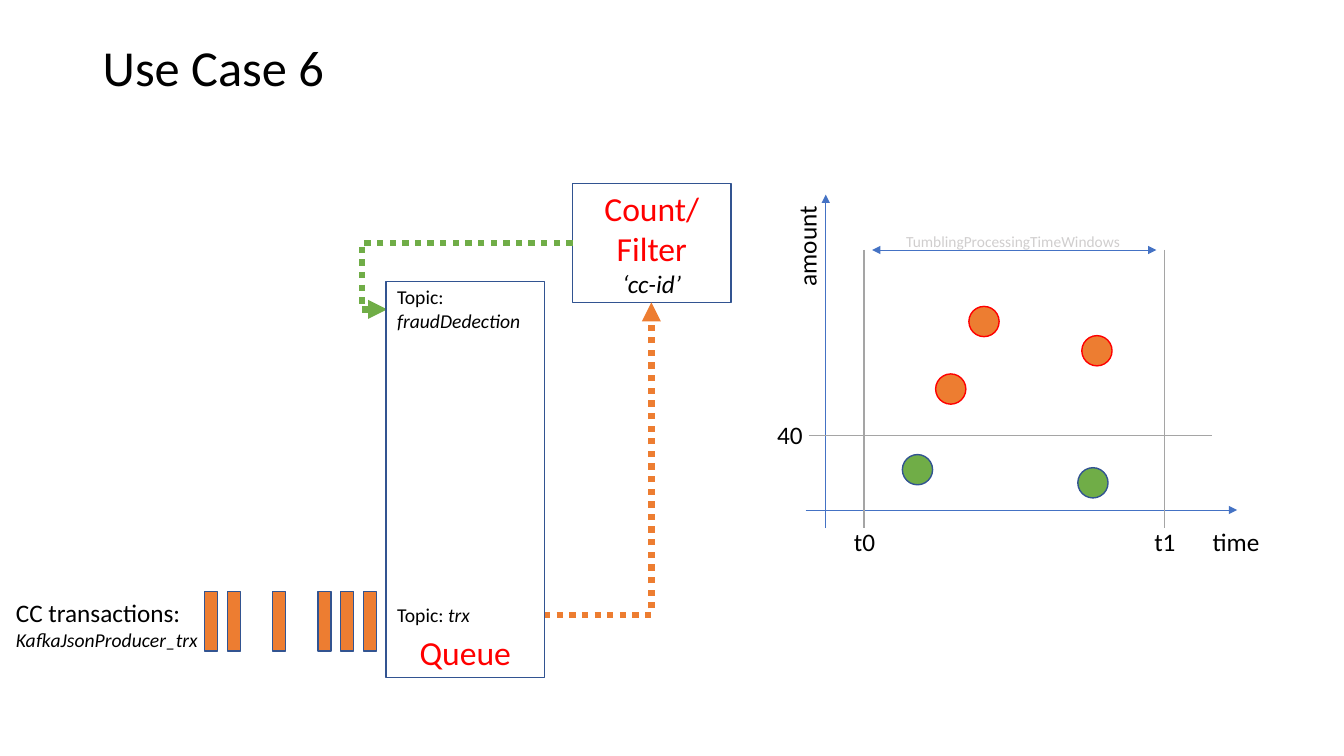
from dataclasses import dataclass

from lxml import etree
from pptx import Presentation
from pptx.dml.color import RGBColor
from pptx.enum.dml import MSO_LINE
from pptx.enum.shapes import MSO_CONNECTOR, MSO_SHAPE
from pptx.enum.text import MSO_ANCHOR, MSO_AUTO_SIZE, PP_ALIGN
from pptx.oxml.ns import qn
from pptx.util import Inches, Pt

RECT, OVAL = MSO_SHAPE.RECTANGLE, MSO_SHAPE.OVAL
STRAIGHT, ELBOW = MSO_CONNECTOR.STRAIGHT, MSO_CONNECTOR.ELBOW
DOTTED = MSO_LINE.ROUND_DOT
LEFT, CENTER = PP_ALIGN.LEFT, PP_ALIGN.CENTER
TOP, MIDDLE, BOTTOM = MSO_ANCHOR.TOP, MSO_ANCHOR.MIDDLE, MSO_ANCHOR.BOTTOM


@dataclass(frozen=True)
class Theme:
    font: str = "Calibri"
    black: str = "000000"
    white: str = "FFFFFF"
    red: str = "FF0000"
    orange: str = "ED7D31"
    green: str = "70AD47"
    blue: str = "4472C4"
    navy: str = "325491"
    gray: str = "A5A5A5"
    pale: str = "D0CECE"
    title: int = 36
    heading: int = 24
    body: int = 18
    small: int = 14
    tiny: int = 11
    thin: float = 0.5
    outline: float = 1
    flow: float = 4.5


T = Theme()


def rgb(color):
    return RGBColor.from_string(color)


def add_text(p, text, size=T.body, color=T.black, italic=False):
    """Append formatted text to a paragraph; a newline becomes a line break."""
    for i, line in enumerate(text.split("\n")):
        if i:
            p.add_line_break()
        r = p.add_run()
        r.text = line
        r.font.name = T.font
        r.font.size = Pt(size)
        r.font.italic = italic
        r.font.color.rgb = rgb(color)


def fill_frame(tf, paragraphs, align=LEFT, anchor=TOP):
    """Write paragraphs, each a list of (text, format) pairs."""
    tf.vertical_anchor = anchor
    for i, runs in enumerate(paragraphs):
        p = tf.add_paragraph() if i else tf.paragraphs[0]
        p.alignment = align
        for text, fmt in runs:
            add_text(p, text, **fmt)


def add_label(slide, left, top, width, height, *paragraphs, anchor=TOP, vert=None):
    sp = slide.shapes.add_textbox(
        Inches(left), Inches(top), Inches(width), Inches(height))
    tf = sp.text_frame
    tf.word_wrap = False
    tf.auto_size = MSO_AUTO_SIZE.NONE
    fill_frame(tf, paragraphs, anchor=anchor)
    if vert:
        tf._txBody.bodyPr.set("vert", vert)
    return sp


def add_figure(slide, kind, left, top, width, height, fill, line=T.navy):
    sp = slide.shapes.add_shape(
        kind, Inches(left), Inches(top), Inches(width), Inches(height))
    sp.shadow.inherit = False
    sp.fill.solid()
    sp.fill.fore_color.rgb = rgb(fill)
    sp.line.color.rgb = rgb(line)
    sp.line.width = Pt(T.outline)
    return sp


def add_line(slide, start, end, color, width, kind=STRAIGHT, dash=None,
             head=False, tail=False):
    c = slide.shapes.add_connector(kind, *(Inches(v) for v in (*start, *end)))
    c.line.color.rgb = rgb(color)
    c.line.width = Pt(width)
    if dash:
        c.line.dash_style = dash
    ln = c.line._get_or_add_ln()
    for tag, wanted in (("a:headEnd", head), ("a:tailEnd", tail)):
        if wanted:
            etree.SubElement(ln, qn(tag), type="triangle")
    etree.SubElement(c._element.spPr, qn("a:effectLst"))
    return c


def add_flow(slide, start, end, color, preset, bend=None):
    """Dotted elbow arrow; bend is where the middle segment sits, as a share of the width."""
    c = add_line(slide, start, end, color, T.flow, kind=ELBOW, dash=DOTTED, tail=True)
    geom = c._element.spPr.find(qn("a:prstGeom"))
    geom.set("prst", preset)
    if bend:
        etree.SubElement(geom.find(qn("a:avLst")), qn("a:gd"),
                         name="adj1", fmla=f"val {round(bend * 100000)}")


def draw_pipeline(slide):
    small, term = {"size": T.small}, {"size": T.small, "italic": True}
    heading = {"size": T.heading, "color": T.red}

    for slot in (0, 1, 3, 5, 6, 7):
        add_figure(slide, RECT, 2.03 + 0.225 * slot, 5.87, 0.13, 0.59, T.orange)
    add_label(slide, 0.06, 5.88, 2.02, 0.64,
              [("CC transactions:", {})], [("KafkaJsonProducer_trx", term)])

    count_filter = add_figure(slide, RECT, 5.68, 1.82, 1.57, 1.18, T.white)
    fill_frame(count_filter.text_frame,
               [[("Count/\nFilter", heading)], [("‘cc-id’", {"italic": True})]],
               align=CENTER, anchor=MIDDLE)

    add_flow(slide, (5.68, 2.41), (3.84, 3.07), T.green, "bentConnector3", bend=1.136)
    add_flow(slide, (4.77, 6.1), (6.46, 3), T.orange, "bentConnector2")

    queue = add_figure(slide, RECT, 3.83, 2.79, 1.57, 3.93, T.white)
    fill_frame(queue.text_frame, [[("Queue", heading)]], align=CENTER, anchor=BOTTOM)
    add_label(slide, 3.84, 5.93, 0.93, 0.34, [("Topic: ", small), ("trx", term)])
    add_label(slide, 3.84, 2.78, 1.44, 0.57,
              [("Topic: \n", small), ("fraudDedection", term)])


def draw_window_plot(slide):
    add_line(slide, (7.99, 5.06), (12.27, 5.06), T.blue, T.thin, tail=True)
    add_label(slide, 11.93, 5.17, 0.67, 0.4, [("time", {})])

    for name, x in (("t0", 8.57), ("t1", 11.55)):
        add_line(slide, (x, 2.48), (x, 5.24), T.gray, T.outline)
        add_label(slide, x - 0.2, 5.17, 0.41, 0.4, [(name, {})])

    add_line(slide, (8.65, 2.48), (11.47, 2.48), T.blue, T.thin, head=True, tail=True)
    add_label(slide, 8.89, 2.25, 2.34, 0.29,
              [("TumblingProcessingTimeWindows", {"size": T.tiny, "color": T.pale})])

    add_line(slide, (8.19, 5.24), (8.19, 1.93), T.blue, T.thin, tail=True)
    add_label(slide, 7.8, 2.03, 0.5, 0.91, [("amount", {})], vert="vert270")

    add_line(slide, (8.02, 4.32), (12.02, 4.32), T.gray, T.outline)
    add_label(slide, 7.61, 4.11, 0.46, 0.4, [("40", {})])

    below = (8.95, 4.51), (10.69, 4.64)
    above = (9.28, 3.71), (9.61, 3.04), (10.73, 3.33)
    for points, fill, line in ((below, T.green, T.navy), (above, T.orange, T.red)):
        for x, y in points:
            add_figure(slide, OVAL, x, y, 0.3, 0.3, fill, line)


def main():
    prs = Presentation()
    prs.slide_width, prs.slide_height = Inches(13.33), Inches(7.5)
    slide = prs.slides.add_slide(prs.slide_layouts[6])
    title = add_label(slide, 0.92, 0.4, 10.55, 0.59,
                      [("Use Case 6", {"size": T.title})], anchor=MIDDLE)
    title.text_frame.word_wrap = True
    title.text_frame.paragraphs[0].line_spacing = 0.9
    draw_pipeline(slide)
    draw_window_plot(slide)
    prs.save("out.pptx")


if __name__ == "__main__":
    main()
